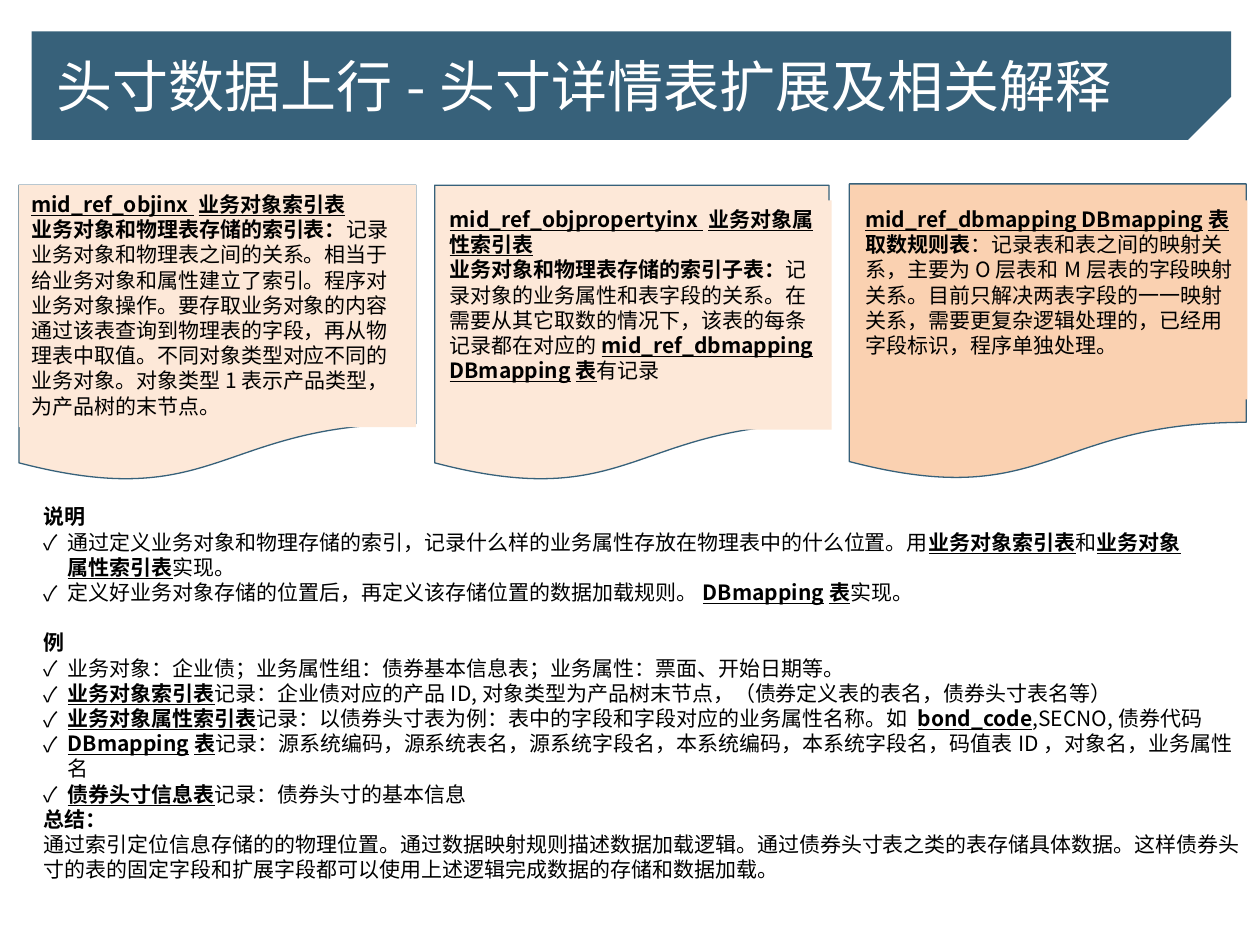
from lxml import etree
from pptx import Presentation
from pptx import util as u
from pptx.dml.color import RGBColor
from pptx.enum import shapes, text
from pptx.oxml.ns import qn

FONT = "Noto Sans CJK SC"
BLUE, PEACH, ORANGE = "37617A", "FDE8D8", "FAD1B1"
DOC, RECT = shapes.MSO_SHAPE.FLOWCHART_DOCUMENT, shapes.MSO_SHAPE.RECTANGLE

CARDS = [
    ((0.15, 1.47, 3.15, 2.36), (0.15, 1.47, 3.15, 1.92), PEACH, [
        [("mid_ref_objinx 业务对象索引表", "bu")],
        [("业务对象和物理表存储的索引表：", "b"),
         ("记录业务对象和物理表之间的关系。相当于给业务对象和属性建立了索引。程序对业务对象操作。"
          "要存取业务对象的内容通过该表查询到物理表的字段，再从物理表中取值。"
          "不同对象类型对应不同的业务对象。对象类型1表示产品类型，为产品树的末节点。", "")]]),
    ((3.45, 1.47, 3.13, 2.36), (3.47, 1.59, 3.13, 1.82), PEACH, [
        [("mid_ref_objpropertyinx 业务对象属性索引表", "bu")],
        [("业务对象和物理表存储的索引子表：", "b"),
         ("记录对象的业务属性和表字段的关系。在需要从其它取数的情况下，该表的每条记录都在对应的", ""),
         ("mid_ref_dbmapping DBmapping表", "bu"), ("有记录", "")]]),
    ((6.74, 1.46, 3.15, 2.36), (6.77, 1.59, 3.13, 1.58), ORANGE, [
        [("mid_ref_dbmapping DBmapping表", "bu")],
        [("取数规则表", "b"),
         ("：记录表和表之间的映射关系，主要为O层表和M层表的字段映射关系。"
          "目前只解决两表字段的一一映射关系，需要更复杂逻辑处理的，已经用字段标识，程序单独处理。", "")]]),
]

NOTE_HEAD = [[("说明", "b")]]
NOTE_ITEMS = [
    [("通过定义业务对象和物理存储的索引，记录什么样的业务属性存放在物理表中的什么位置。用", ""),
     ("业务对象索引表", "bu"), ("和", ""), ("业务对象属性索引表", "bu"), ("实现。", "")],
    [("定义好业务对象存储的位置后，再定义该存储位置的数据加载规则。", ""),
     ("DBmapping表", "bu"), ("实现。", "")],
]
EXAMPLE_HEAD = [[("例", "b")]]
EXAMPLE_ITEMS = [
    [("业务对象：企业债；业务属性组：债券基本信息表；业务属性：票面、开始日期等。", "")],
    [("业务对象索引表", "bu"),
     ("记录：企业债对应的产品ID,对象类型为产品树末节点，（债券定义表的表名，债券头寸表名等）", "")],
    [("业务对象属性索引表", "bu"),
     ("记录：以债券头寸表为例：表中的字段和字段对应的业务属性名称。如 ", ""),
     ("bond_code", "bu"), (",SECNO,债券代码", "")],
    [("DBmapping表", "bu"),
     ("记录：源系统编码，源系统表名，源系统字段名，本系统编码，本系统字段名，"
      "码值表ID，对象名，业务属性名", "")],
    [("债券头寸信息表", "bu"), ("记录：债券头寸的基本信息", "")],
]
SUMMARY = [
    [("总结：", "b")],
    [("通过索引定位信息存储的的物理位置。通过数据映射规则描述数据加载逻辑。"
      "通过债券头寸表之类的表存储具体数据。"
      "这样债券头寸的表的固定字段和扩展字段都可以使用上述逻辑完成数据的存储和数据加载。", "")],
]


def rgb(color):
    """Turn a hex string into a colour."""
    return RGBColor.from_string(color)


def inches(box):
    """Turn numbers into lengths."""
    return [u.Inches(v) for v in box]


def paint(sp, fill, line=None):
    """Set fill and outline and drop the shadow."""
    sp.shadow.inherit = False
    sp.fill.solid()
    sp.fill.fore_color.rgb = rgb(fill)
    if line:
        sp.line.color.rgb = rgb(line)
        sp.line.width = u.Pt(0.75)
    else:
        sp.line.fill.background()


def add_run(p, content, style="", size=12, color="000000"):
    """Add one run; style holds b for bold and u for underline."""
    r = p.add_run()
    r.text = content
    f = r.font
    f.name, f.size = FONT, u.Pt(size)
    f.bold, f.underline = "b" in style, "u" in style
    f.color.rgb = rgb(color)
    etree.SubElement(r._r.get_or_add_rPr(), qn("a:ea")).set("typeface", FONT)


def add_bullet(p):
    """Give a paragraph a check mark and a hanging indent."""
    pPr = p._p.get_or_add_pPr()
    pPr.set("marL", str(u.Inches(0.19)))
    pPr.set("indent", str(-u.Inches(0.19)))
    etree.SubElement(pPr, qn("a:buFont")).set("typeface", FONT)
    etree.SubElement(pPr, qn("a:buChar")).set("char", "✓")


def fill_text(sp, paragraphs, bulleted=()):
    """Write paragraphs of styled runs, with bullets on those in bulleted."""
    tf = sp.text_frame
    tf.word_wrap = True
    tf.auto_size = text.MSO_AUTO_SIZE.SHAPE_TO_FIT_TEXT
    tf.vertical_anchor = text.MSO_ANCHOR.TOP
    for i, runs in enumerate(paragraphs):
        p = tf.add_paragraph() if i else tf.paragraphs[0]
        p.alignment = text.PP_ALIGN.LEFT
        if i in bulleted:
            add_bullet(p)
        for content, style in runs:
            add_run(p, content, style)


def add_banner(s, title):
    """Add the title band with its cut corner."""
    corners = [(9.77, 0.25), (9.77, 0.77), (9.43, 1.11), (0.25, 1.11)]
    fb = s.shapes.build_freeform(u.Inches(0.25), u.Inches(0.25))
    fb.add_line_segments([inches(c) for c in corners], close=True)
    paint(fb.convert_to_shape(), BLUE)
    tf = s.shapes.add_textbox(*inches((0.25, 0.25, 9.51, 0.85))).text_frame
    tf.word_wrap = True
    tf.vertical_anchor = text.MSO_ANCHOR.MIDDLE
    tf.margin_left = u.Inches(0.2)
    add_run(tf.paragraphs[0], title, size=32, color="FFFFFF")


def add_card(s, sheet, panel, fill, paragraphs):
    """Add a document shape with a text panel over it."""
    paint(s.shapes.add_shape(DOC, *inches(sheet)), fill, BLUE)
    sp = s.shapes.add_shape(RECT, *inches(panel))
    paint(sp, fill)
    fill_text(sp, paragraphs)


def add_notes_box(s, box, head, items, tail=()):
    """Add a text box with a heading, checked items and closing text."""
    sp = s.shapes.add_textbox(*inches(box))
    bulleted = range(len(head), len(head) + len(items))
    fill_text(sp, [*head, *items, *tail], bulleted)


def main():
    """Build and save the slide."""
    prs = Presentation()
    prs.slide_width, prs.slide_height = u.Inches(10), u.Inches(7.5)
    s = prs.slides.add_slide(prs.slide_layouts[6])
    add_banner(s, "头寸数据上行-头寸详情表扩展及相关解释")
    for card in CARDS:
        add_card(s, *card)
    add_notes_box(s, (0.25, 3.95, 9.31, 0.91), NOTE_HEAD, NOTE_ITEMS)
    add_notes_box(s, (0.25, 4.95, 9.71, 1.92), EXAMPLE_HEAD, EXAMPLE_ITEMS, SUMMARY)
    prs.save("out.pptx")


if __name__ == "__main__":
    main()
